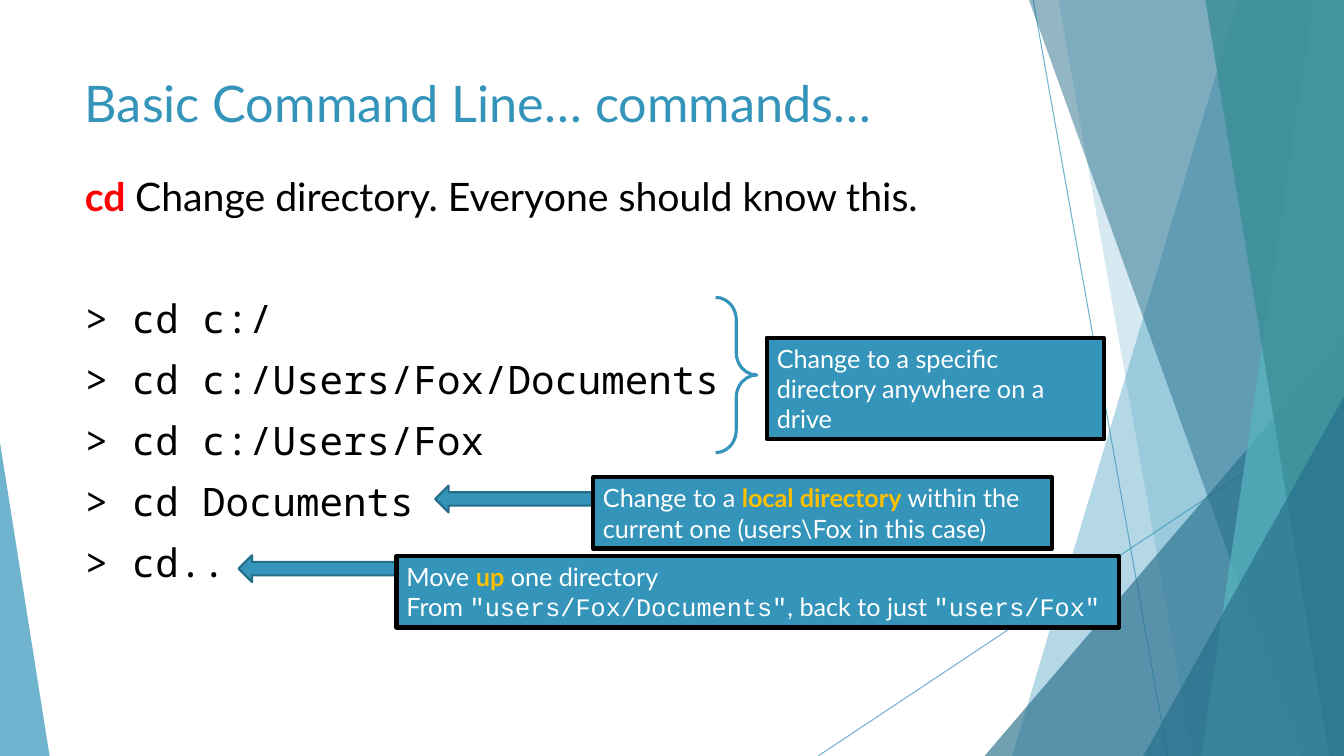
from lxml.etree import SubElement
from pptx import Presentation
from pptx.dml.color import RGBColor
from pptx.enum.shapes import MSO_CONNECTOR, MSO_SHAPE as Preset
from pptx.enum.text import MSO_ANCHOR as Anchor, MSO_AUTO_SIZE as AutoSize, PP_ALIGN as Align
from pptx.oxml.ns import qn
from pptx.util import Inches, Pt

COLUMNS, ROWS = 16, 9
BLUE, DEEP_BLUE, BLACK, WHITE = "3494BA", "276F8B", "000000", "FFFFFF"
RED, GOLD = "FF0000", "FFC000"
SANS, MONO, COURIER = "Lato", "Noto Sans Mono", "Courier New"


def rgb(value):
    return RGBColor.from_string(value)


class CommandSlide:
    def __init__(self, deck):
        self.slide = deck.slides.add_slide(deck.slide_layouts[1])
        self.shapes = self.slide.shapes
        self.column = deck.slide_width / COLUMNS
        self.row = deck.slide_height / ROWS

    def place(self, *cells):
        units = (self.column, self.row) * 2
        return [round(cell * unit) for cell, unit in zip(cells, units)]

    def paint(self, fill, color, opacity=100):
        fill.solid()
        fill.fore_color.rgb = rgb(color)
        if opacity < 100:
            tint = fill._xPr.find(".//" + qn("a:srgbClr"))
            SubElement(tint, qn("a:alpha"), val=str(opacity * 1000))

    def facet(self, shape, color, opacity):
        shape.shadow.inherit = False
        self.paint(shape.fill, color, opacity)
        shape.line.fill.background()

    def band(self, top_x, bottom_x, color, opacity):
        outline = self.shapes.build_freeform(*self.place(top_x, 0))
        corners = [(COLUMNS, 0), (COLUMNS, ROWS), (bottom_x, ROWS)]
        outline.add_line_segments([self.place(*corner) for corner in corners])
        self.facet(outline.convert_to_shape(), color, opacity)

    def corner(self, cells, apex, color, opacity):
        triangle = self.shapes.add_shape(Preset.ISOSCELES_TRIANGLE, *self.place(*cells))
        triangle.adjustments[0] = apex
        self.facet(triangle, color, opacity)

    def hairline(self, *ends):
        line = self.shapes.add_connector(MSO_CONNECTOR.STRAIGHT, *self.place(*ends))
        line.line.width = Pt(0.75)
        self.paint(line.line.fill, BLUE, 70)
        SubElement(line._element.spPr, qn("a:effectLst"))

    def preset(self, kind, cells, fill, edge, width):
        shape = self.shapes.add_shape(kind, *self.place(*cells))
        shape.shadow.inherit = False
        if fill:
            self.paint(shape.fill, fill)
        else:
            shape.fill.background()
        shape.line.color.rgb = rgb(edge)
        shape.line.width = Pt(width)
        return shape

    def set_line(self, paragraph, runs, size, color, face=SANS):
        font = paragraph.font
        font.size, font.name, font.color.rgb = Pt(size), face, rgb(color)
        paragraph.alignment = Align.LEFT
        for text, accent, run_face in runs:
            run = paragraph.add_run()
            run.text = text
            if accent:
                run.font.bold = True
                run.font.color.rgb = rgb(accent)
            if run_face:
                run.font.name = run_face

    def fill_lines(self, frame, lines, size, color):
        for index, (runs, face) in enumerate(lines):
            paragraph = frame.add_paragraph() if index else frame.paragraphs[0]
            self.set_line(paragraph, runs, size, color, face)

    def callout(self, cells, lines):
        box = self.preset(Preset.RECTANGLE, cells, BLUE, BLACK, 3)
        box.text_frame.word_wrap = True
        box.text_frame.auto_size = AutoSize.SHAPE_TO_FIT_TEXT
        self.fill_lines(box.text_frame, [(runs, SANS) for runs in lines], 18, WHITE)

    def arrow(self, left, top):
        self.preset(Preset.LEFT_ARROW, (left, top, 1.87, 0.32), BLUE, "266D8A", 1.5)

    def brace(self, cells):
        self.preset(Preset.RIGHT_BRACE, cells, None, BLUE, 2.25).adjustments[0] = 0.55

    def placeholder(self, index, cells):
        holder = self.slide.placeholders[index]
        holder.left, holder.top, holder.width, holder.height = self.place(*cells)
        self.shapes._spTree.append(holder._element)
        frame = holder.text_frame
        frame.vertical_anchor = Anchor.TOP
        frame.word_wrap = True
        frame.auto_size = AutoSize.NONE
        return frame

    def title(self, cells, text):
        frame = self.placeholder(0, cells)
        self.set_line(frame.paragraphs[0], [(text, None, None)], 36, BLUE)

    def body(self, cells, summary, commands):
        frame = self.placeholder(1, cells)
        typed = [([(command, None, None)], MONO) for command in commands]
        self.fill_lines(frame, [(summary, SANS)] + typed, 28, BLACK)
        for index, paragraph in enumerate(frame.paragraphs):
            paragraph.space_before = Pt(53.6 if index == 1 else 10)
            properties = paragraph._p.get_or_add_pPr()
            properties.set("marL", "0")
            properties.set("indent", "0")
            defaults = properties.find(qn("a:defRPr"))
            defaults.addprevious(SubElement(properties, qn("a:buNone")))
            tabs = SubElement(properties, qn("a:tabLst"))
            SubElement(tabs, qn("a:tab"), pos=str(Inches(1.5)), algn="l")
            defaults.addprevious(tabs)


def main():
    deck = Presentation()
    deck.slide_width, deck.slide_height = Inches(13.33), Inches(7.5)
    page = CommandSlide(deck)

    page.hairline(12.3, 0, 13.9, 9)
    page.hairline(16, 4.84, 9.74, 9)
    page.band(14.74, 12.05, BLUE, 36)
    page.band(12.6, 14.2, BLUE, 20)
    page.corner((11.72, 4, 4.28, 5), 1, DEEP_BLUE, 66)
    page.band(12.25, 15.49, DEEP_BLUE, 50)
    page.band(15.64, 14.3, "58B6C0", 70)
    page.band(14.35, 15.82, "3A8F98", 80)
    page.corner((13.61, 4.72, 2.39, 4.28), 1, DEEP_BLUE, 66)
    page.corner((0, 5.27, 0.59, 3.73), 0, BLUE, 70)

    page.title((0.89, 0.8, 11.28, 1.02), "Basic Command Line… commands…")
    page.body(
        (0.89, 1.99, 11.63, 5.94),
        [("cd", RED, None), ("\tChange directory. Everyone should know this.", None, None)],
        ["> cd c:/", "> cd c:/Users/Fox/Documents", "> cd c:/Users/Fox",
         "> cd Documents", "> cd.."],
    )

    page.callout((9.13, 4.02, 4.01, 1.21),
                 [[("Change to a specific directory anywhere on a drive", None, None)]])
    page.brace((8.52, 3.54, 0.49, 1.85))
    page.arrow(5.18, 5.78)
    page.callout((7.06, 5.68, 5.46, 0.85), [
        [("Change to a ", None, None), ("local directory", GOLD, None),
         (" within the current one (users\\Fox in this case)", None, None)],
    ])
    page.arrow(2.84, 6.61)
    page.callout((4.72, 6.62, 8.6, 0.85), [
        [("Move ", None, None), ("up", GOLD, None), (" one directory", None, None)],
        [("From ", None, None), ('"users/Fox/Documents"', None, COURIER),
         (", back to just ", None, None), ('"users/Fox"', None, COURIER)],
    ])
    deck.save("out.pptx")


if __name__ == "__main__":
    main()
